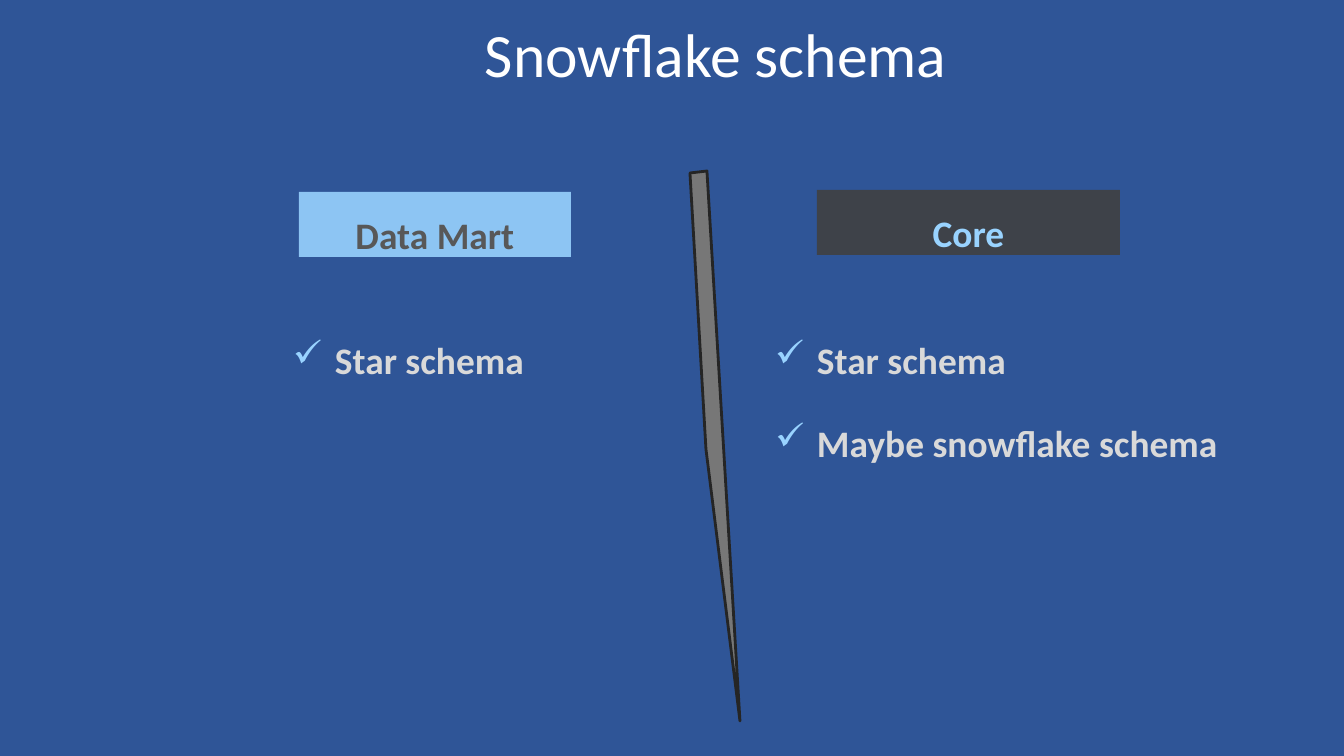
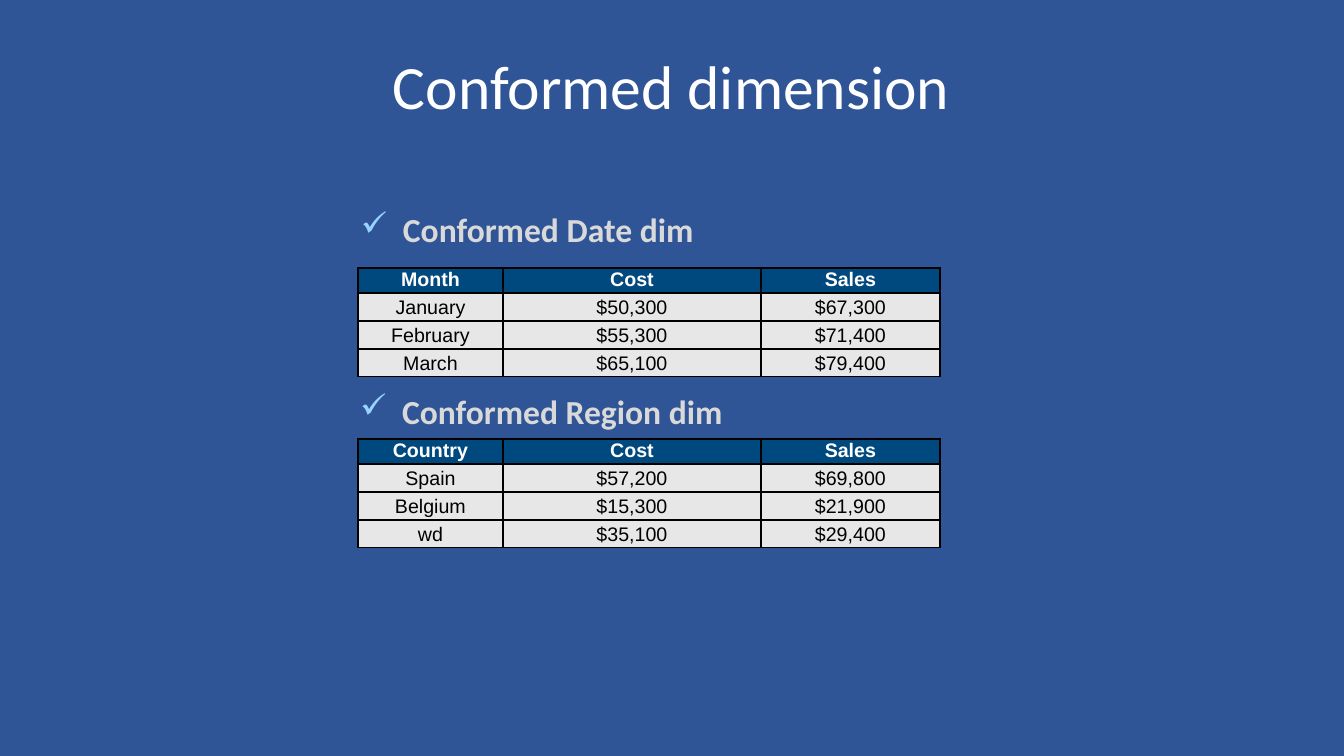
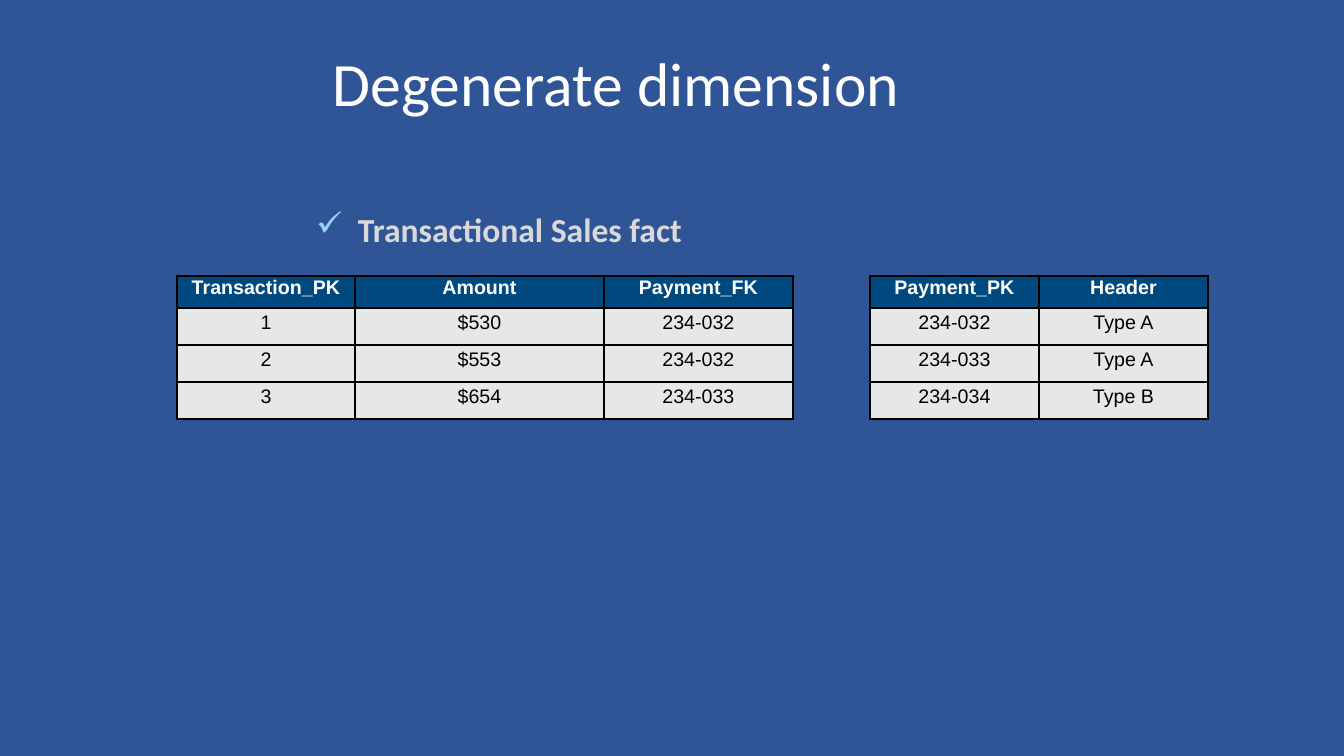
from lxml import etree
from pptx import Presentation
from pptx.dml.color import RGBColor
from pptx.enum.shapes import MSO_SHAPE
from pptx.enum.text import MSO_ANCHOR, MSO_AUTO_SIZE, PP_ALIGN
from pptx.oxml.ns import qn
from pptx.util import Pt

RECTANGLE = MSO_SHAPE.RECTANGLE
TOP, MIDDLE = MSO_ANCHOR.TOP, MSO_ANCHOR.MIDDLE
LEFT, CENTER = PP_ALIGN.LEFT, PP_ALIGN.CENTER
NO_FIT = MSO_AUTO_SIZE.NONE

EMU_PER_PX = 914400 / 100.8
BLUE, NAVY, SKY, CHARCOAL = "2F5597", "00497E", "99D3FF", "404040"
WHITE, BLACK, SILVER, PALE = "FFFFFF", "000000", "D9D9D9", "E7E7E7"
GRAY, DARK_GRAY, OUTLINE = "777777", "585858", "252525"
color = RGBColor.from_string


def px(*values):
    return [round(value * EMU_PER_PX) for value in values]


def write(text_frame, text, font_name, size, text_color, bold=False,
          align=LEFT, anchor=TOP, margin_left=0, margin_top=2):
    text_frame.text = text
    text_frame.word_wrap = True
    text_frame.auto_size = NO_FIT
    text_frame.vertical_anchor = anchor
    text_frame.margin_left, text_frame.margin_top = px(margin_left, margin_top)
    text_frame.margin_right = text_frame.margin_bottom = 0
    paragraph = text_frame.paragraphs[0]
    paragraph.alignment = align
    font = paragraph.runs[0].font
    font.name, font.size, font.bold = font_name, Pt(size), bold
    font.color.rgb = color(text_color)


presentation = Presentation()
presentation.slide_width, presentation.slide_height = px(1344, 756)
background = presentation.slide_master.background.fill
background.solid()
background.fore_color.rgb = color(BLUE)
title_only = presentation.slide_layouts[5]

# Slides with their titles: text, box, left margin, alignment
titles = [
    ("Snowflake schema", (302, 13, 965, 77), 183, LEFT),
    ("Conformed dimension", (88, 45, 1030, 77), 137, CENTER),
    ("Degenerate dimension", (331, 42, 712, 77), 2, LEFT),
]
slides = []
for text, box, margin, align in titles:
    slide = presentation.slides.add_slide(title_only)
    title = slide.shapes.title
    title.left, title.top, title.width, title.height = px(*box)
    write(title.text_frame, text, "Calibri", 44, WHITE, align=align,
          anchor=MIDDLE, margin_left=margin)
    slides.append(slide)
schema_slide, conformed_slide, degenerate_slide = slides

# Check-marked lines: slide, text, left, top, width, font size
check_lines = [
    (schema_slide, "Star schema", 291, 335, 240, 26.7),
    (schema_slide, "Star schema", 773, 335, 240, 26.7),
    (schema_slide, "Maybe snowflake schema", 773, 418, 450, 26.7),
    (conformed_slide, "Conformed Date dim", 359, 207, 342, 24),
    (conformed_slide, "Conformed Region dim", 358, 389, 370, 24),
    (degenerate_slide, "Transactional Sales fact", 314, 207, 376, 24),
]
for slide, text, left, top, width, size in check_lines:
    text_box = slide.shapes.add_textbox(*px(left, top, width, round(size * 1.78)))
    write(text_box.text_frame, text, "Calibri", size, SILVER, bold=True)
    properties = text_box.text_frame.paragraphs[0]._p.get_or_add_pPr()
    hang_left, indent = px(44, -42)
    properties.set("marL", str(hang_left))
    properties.set("indent", str(indent))
    bullet_color = etree.SubElement(properties, qn("a:buClr"))
    etree.SubElement(bullet_color, qn("a:srgbClr"), val=SKY)
    etree.SubElement(properties, qn("a:buChar"), char="✓")

# Divider between the two columns
divider_points = [(707, 171), (690, 173), (706, 449), (740, 721)]
builder = schema_slide.shapes.build_freeform(*divider_points[0], scale=EMU_PER_PX)
builder.add_line_segments(divider_points[1:], close=True)
divider = builder.convert_to_shape()
divider.shadow.inherit = False
divider.fill.solid()
divider.fill.fore_color.rgb = color(GRAY)
divider.line.color.rgb = color(OUTLINE)
divider.line.width = Pt(2)

# Column headings on slightly transparent bands
headings = [
    ("Data Mart", (299, 192, 272, 65), SKY, DARK_GRAY),
    ("Core", (817, 190, 303, 65), CHARCOAL, SKY),
]
for text, box, fill_color, text_color in headings:
    band = schema_slide.shapes.add_shape(RECTANGLE, *px(*box))
    band.shadow.inherit = False
    band.fill.solid()
    band.fill.fore_color.rgb = color(fill_color)
    band_color = band._element.spPr.find(".//" + qn("a:srgbClr"))
    etree.SubElement(band_color, qn("a:alpha"), val="89000")
    band.line.fill.background()
    write(band.text_frame, text, "Calibri", 26.7, text_color, bold=True,
          align=CENTER, margin_top=20)

# Tables: slide, left, top, column widths, header and body row height, rows
tables = [
    (conformed_slide, 358, 268, (145, 258, 179), 25, 28, [
        ("Month", "Cost", "Sales"),
        ("January", "$50,300", "$67,300"),
        ("February", "$55,300", "$71,400"),
        ("March", "$65,100", "$79,400")]),
    (conformed_slide, 358, 439, (145, 258, 179), 25, 28, [
        ("Country", "Cost", "Sales"),
        ("Spain", "$57,200", "$69,800"),
        ("Belgium", "$15,300", "$21,900"),
        ("wd", "$35,100", "$29,400")]),
    (degenerate_slide, 177, 276, (178, 249, 189), 32, 37, [
        ("Transaction_PK", "Amount", "Payment_FK"),
        ("1", "$530", "234-032"),
        ("2", "$553", "234-032"),
        ("3", "$654", "234-033")]),
    (degenerate_slide, 870, 276, (169, 169), 32, 37, [
        ("Payment_PK", "Header"),
        ("234-032", "Type A"),
        ("234-033", "Type A"),
        ("234-034", "Type B")]),
]
for slide, left, top, widths, header_height, body_height, rows in tables:
    heights = [header_height] + [body_height] * (len(rows) - 1)
    table = slide.shapes.add_table(
        len(rows), len(widths), *px(left, top, sum(widths), sum(heights))).table
    table.horz_banding = False
    for column, width in zip(table.columns, px(*widths)):
        column.width = width
    for row, height in zip(table.rows, px(*heights)):
        row.height = height
    for row_index, row in enumerate(rows):
        is_header = row_index == 0
        for column_index, text in enumerate(row):
            cell = table.cell(row_index, column_index)
            cell.text = text
            cell.margin_left = cell.margin_right = cell.margin_bottom = 0
            cell.margin_top = px(1 if is_header else 4)[0]
            paragraph = cell.text_frame.paragraphs[0]
            paragraph.alignment = CENTER
            font = paragraph.runs[0].font
            font.name, font.size, font.bold = "Arial", Pt(14), is_header
            font.color.rgb = color(WHITE if is_header else BLACK)
            cell_properties = cell._tc.get_or_add_tcPr()
            for side in ("a:lnL", "a:lnR", "a:lnT", "a:lnB"):
                border = etree.SubElement(cell_properties, qn(side), w=str(Pt(1)))
                border_fill = etree.SubElement(border, qn("a:solidFill"))
                etree.SubElement(border_fill, qn("a:srgbClr"), val=BLACK)
            cell.fill.solid()
            cell.fill.fore_color.rgb = color(NAVY if is_header else PALE)

presentation.save("out.pptx")
